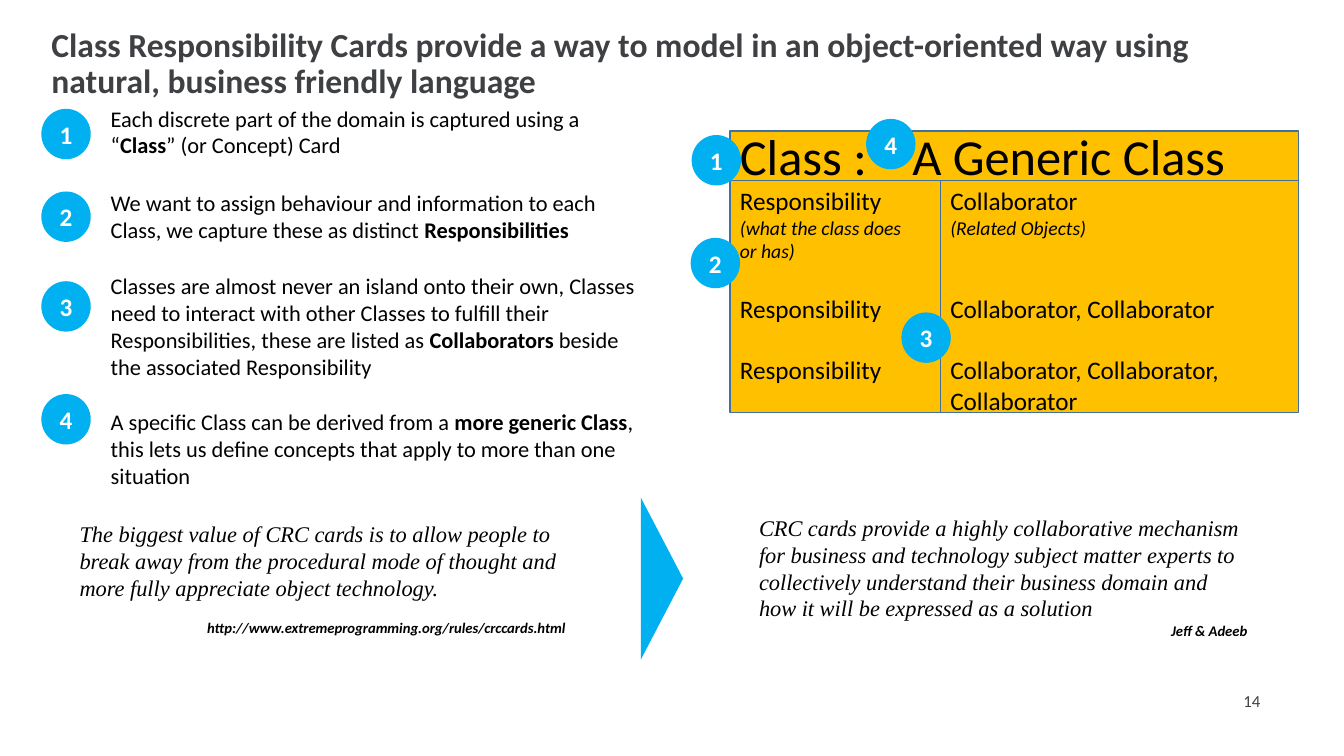
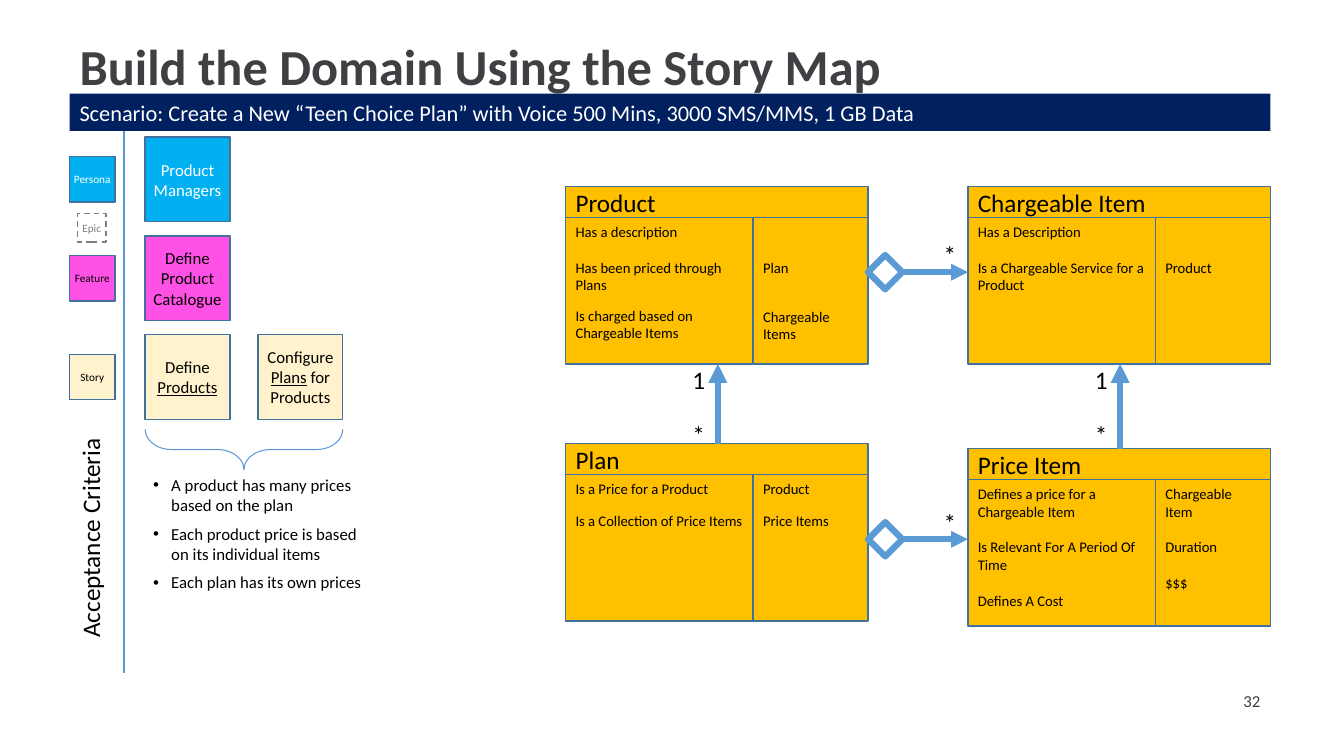
from dataclasses import dataclass
from typing import Optional

from lxml.etree import SubElement
from pptx import Presentation
from pptx.dml.color import RGBColor
from pptx.enum.dml import MSO_LINE
from pptx.enum.shapes import MSO_CONNECTOR, MSO_SHAPE as Preset
from pptx.enum.text import MSO_ANCHOR as Anchor, MSO_AUTO_SIZE, PP_ALIGN as Align
from pptx.oxml.ns import qn
from pptx.util import Emu, Inches, Pt

SLIDE_W, SLIDE_H = Inches(13.33), Inches(7.5)
ROWS = 75
CELL = SLIDE_H / ROWS  # square grid cell; all boxes are in columns and rows


@dataclass(frozen=True)
class Theme:
    body: str = "Calibri"
    quote: str = "Times New Roman"
    heading: str = "3E4043"
    ink: str = "000000"
    paper: str = "FFFFFF"
    card: str = "FFC000"
    edge: str = "42719B"
    link: str = "5B9BD5"
    accent: str = "00B0F0"
    band: str = "002060"
    feature: str = "FF51E5"
    story: str = "FFF2CC"
    muted: str = "7F7F7F"
    huge: float = 36
    title: float = 24
    large: float = 18
    text: float = 16
    note: float = 14
    small: float = 12
    fine: float = 10.5
    tiny: float = 8


T = Theme()


@dataclass(frozen=True)
class Box:
    x: float
    y: float
    w: float
    h: float

    @property
    def right(self):
        return self.x + self.w

    @property
    def bottom(self):
        return self.y + self.h

    def emu(self):
        return [grid(v) for v in (self.x, self.y, self.w, self.h)]


@dataclass(frozen=True)
class Para:
    """Runs are (text, marks) pairs; marks are any of the letters b, i, u."""
    runs: tuple
    gap: float = 0
    size: Optional[float] = None
    font: str = T.body
    align: Optional[Align] = None
    bullet: bool = False
    tab: float = 0


def grid(cells):
    return Emu(round(cells * CELL))


def rgb(value):
    return RGBColor.from_string(value)


def plain(text, marks="", **style):
    return Para(((text, marks),), **style)


def add_bullet(props):
    props.set("marL", str(Inches(0.19)))
    props.set("indent", str(-Inches(0.18)))
    SubElement(props, qn("a:buFont")).set("typeface", "Arial")
    SubElement(props, qn("a:buChar")).set("char", "•")


def add_tab(props, cells):
    stop = SubElement(SubElement(props, qn("a:tabLst")), qn("a:tab"))
    stop.set("pos", str(grid(cells)))
    stop.set("algn", "l")


def write(shape, paras, size, color=T.ink, align=Align.LEFT, anchor=Anchor.TOP,
          pad=(1, 0.5), lead=0):
    """Fill a shape with paragraphs; lead lowers the first line by some rows."""
    frame = shape.text_frame
    frame.word_wrap, frame.auto_size = True, MSO_AUTO_SIZE.NONE
    frame.vertical_anchor = anchor
    frame.margin_left = frame.margin_right = grid(pad[0])
    frame.margin_top, frame.margin_bottom = grid(pad[1] + lead), grid(pad[1])
    for index, para in enumerate(paras):
        line = frame.add_paragraph() if index else frame.paragraphs[0]
        props = line._p.get_or_add_pPr()
        if para.bullet:
            add_bullet(props)
        if para.tab:
            add_tab(props, para.tab)
        line.alignment = para.align or align
        line.space_before = Pt(para.gap)
        for text, marks in para.runs:
            run = line.add_run()
            run.text = text
            font = run.font
            font.name, font.size = para.font, Pt(para.size or size)
            font.color.rgb = rgb(color)
            font.bold, font.italic = "b" in marks, "i" in marks
            font.underline = "u" in marks


def label(slide, box, paras, size, **style):
    area = slide.shapes.add_textbox(*box.emu())
    write(area, paras, size, **style)
    return area


def figure(slide, preset, box, fill=None, edge=None, weight=1.0):
    shape = slide.shapes.add_shape(preset, *box.emu())
    shape.shadow.inherit = False
    if fill:
        shape.fill.solid()
        shape.fill.fore_color.rgb = rgb(fill)
    else:
        shape.fill.background()
    if edge:
        shape.line.color.rgb, shape.line.width = rgb(edge), Pt(weight)
    else:
        shape.line.fill.background()
    return shape


def connect(slide, start, end, weight, arrow=True):
    link = slide.shapes.add_connector(
        MSO_CONNECTOR.STRAIGHT, *(grid(v) for v in (*start, *end)))
    link.line.color.rgb, link.line.width = rgb(T.link), Pt(weight)
    if arrow:
        SubElement(link.line._get_or_add_ln(), qn("a:tailEnd")).set("type", "triangle")
    SubElement(link._element.spPr, qn("a:effectLst"))


def titled_slide(deck, title, box, size, number):
    slide = deck.slides.add_slide(deck.slide_layouts[5])
    heading = slide.shapes.title
    heading.left, heading.top, heading.width, heading.height = box.emu()
    write(heading, [plain(title, "b")], size, T.heading)
    heading.text_frame.paragraphs[0].line_spacing = 0.9
    label(slide, Box(96, 67.5, 30, 4), [plain(number)], T.small,
          color=T.heading, align=Align.RIGHT, anchor=Anchor.MIDDLE)
    return slide


def crc_card(slide, box, head, split, title, left, right, sizes, lead=0):
    """Class card: header of `head` rows above two cells split at a share."""
    title_size, cell_size = sizes
    middle, top = box.w * split, box.y + head
    cells = ((Box(box.x, top, middle, box.h - head), left, 0),
             (Box(box.x + middle, top, box.w - middle, box.h - head), right, lead))
    for cell, paras, drop in cells:
        write(figure(slide, Preset.RECTANGLE, cell, T.card, T.edge),
              paras, cell_size, lead=drop)
    header = figure(slide, Preset.RECTANGLE, Box(box.x, box.y, box.w, head),
                    T.card, T.edge)
    write(header, [title], title_size, anchor=Anchor.MIDDLE)


def badge(slide, x, y, number):
    circle = figure(slide, Preset.OVAL, Box(x, y, 4.9, 5), T.accent)
    write(circle, [plain(str(number), "b")], T.large, T.paper, Align.CENTER,
          Anchor.MIDDLE, pad=(0, 0.5))


def numbered_points(slide, x, points):
    for number, (badge_y, text_y, lines, runs) in enumerate(points, 1):
        badge(slide, x, badge_y, number)
        label(slide, Box(x + 5.9, text_y, 54.7, lines * 2.7 + 1), [Para(runs)], T.text)


def quotation(slide, box, words, source, gap=0):
    label(slide, box, [
        plain(words, "i", font=T.quote),
        plain(source, "bi", size=T.fine, align=Align.RIGHT, gap=gap)], T.text)


def sticky(slide, box, fill, runs, size, color=T.ink, edge=T.edge):
    note = figure(slide, Preset.RECTANGLE, box, fill, edge)
    write(note, [Para(runs)], size, color, Align.CENTER, Anchor.MIDDLE, pad=(0.3, 0.3))
    return note


def story_map(slide, x, y):
    """Legend column, divider and sticky notes, one row per kind of note."""
    side, mark, row, column = 8.4, 4.5, 9.8, 11.2
    notes_x = x + 7.5
    levels = (
        ("Persona", T.accent, T.paper, [(("Product Managers", ""),)]),
        ("Feature", T.feature, T.ink, [(("Define Product Catalogue", ""),)]),
        ("Story", T.story, T.ink, [
            (("Define ", ""), ("Products", "u")),
            (("Configure ", ""), ("Plans", "u"), (" for Products", ""))]))
    for level, (kind, fill, color, notes) in enumerate(levels):
        top = y + level * row
        sticky(slide, Box(x, top + (side - mark) / 2, mark, mark), fill,
               ((kind, ""),), T.tiny, color)
        for place, runs in enumerate(notes):
            sticky(slide, Box(notes_x + place * column, top, side, side), fill,
                   runs, T.small, color)
    epic = sticky(slide, Box(x + 0.8, y + 7.6, 2.8, 2.8), None, (("Epic", ""),),
                  T.tiny, T.muted, T.muted)
    epic.line.dash_style = MSO_LINE.DASH
    connect(slide, (x + 5.4, y - 0.6), (x + 5.4, y + 53.2), 0.75, arrow=False)


def acceptance_criteria(slide, x, y, criteria):
    caption = label(slide, Box(x - 9.3, y + 8, 22.7, 4), [plain("Acceptance Criteria")],
                    T.large)
    caption.rotation = 270
    brace = figure(slide, Preset.LEFT_BRACE, Box(x + 15.3, y - 8.1, 4, 19.6),
                   edge=T.link, weight=0.75)
    brace.rotation = 270
    brace.adjustments[0] = 0.66
    label(slide, Box(x + 7.2, y + 3.7, 24.2, 12.8),
          [plain(text, gap=6 if i else 0, bullet=True)
           for i, text in enumerate(criteria)], T.small)


def aggregation(slide, x, y, target_x):
    size = 3.4
    figure(slide, Preset.DIAMOND, Box(x, y - size / 2, size, size),
           edge=T.link, weight=4.5)
    connect(slide, (x + size, y), (target_x, y), 4)
    label(slide, Box(target_x - 3.4, y - 3.7, 3.3, 4), [plain("*")], T.large)


def many_to_one(slide, lower, upper):
    x = lower.x + 15.1
    connect(slide, (x, lower.y), (x, upper.bottom), 4.5)
    label(slide, Box(x - 3.5, upper.bottom - 0.4, 3.3, 9.4),
          [plain("1"), plain("*", gap=17)], T.large)


def cards_slide(deck):
    slide = titled_slide(
        deck, "Class Responsibility Cards provide a way to model in an object-oriented "
        "way using natural, business friendly language",
        Box(4.1, 2.3, 121.9, 6.5), T.title, "14")
    crc_card(
        slide, Box(72.4, 13, 56.4, 27.9), 4.9, 0.37,
        plain("Class :\tA Generic Class", tab=17.1),
        [plain("Responsibility"), plain("(what the class does", "i", size=T.note),
         plain("or has)", "i", size=T.note), plain("Responsibility", gap=22),
         plain("Responsibility", gap=22)],
        [plain("Collaborator"), plain("(Related Objects)", "i", size=T.note),
         plain("Collaborator, Collaborator", gap=39),
         plain("Collaborator, Collaborator, Collaborator", gap=22)],
        (T.huge, T.large))
    numbered_points(slide, 4.1, (
        (10.8, 9.9, 2, (("Each discrete part of the domain is captured using a “", ""),
                        ("Class", "b"), ("” (or Concept) Card", ""))),
        (19, 18.3, 2, (("We want to assign behaviour and information to each Class, "
                        "we capture these as distinct ", ""), ("Responsibilities", "b"))),
        (27.9, 26.5, 4, (("Classes are almost never an island onto their own, Classes "
                          "need to interact with other Classes to fulfill their "
                          "Responsibilities, these are listed as ", ""),
                         ("Collaborators", "b"),
                         (" beside the associated Responsibility", ""))),
        (39.1, 40, 3, (("A specific Class can be derived from a ", ""),
                       ("more generic Class", "b"),
                       (", this lets us define concepts that apply to more than one "
                        "situation", "")))))
    callouts = ((68.6, 13.4), (68.5, 23.6), (89.4, 31), (85.9, 11.8))
    for number, (x, y) in enumerate(callouts, 1):
        badge(slide, x, y, number)
    quotation(slide, Box(6.9, 51.1, 50.2, 12.6),
              "The biggest value of CRC cards is to allow people to break away from the "
              "procedural mode of thought and more fully appreciate object technology.",
              "http://www.extremeprogramming.org/rules/crccards.html", gap=13)
    pointer = figure(slide, Preset.ISOSCELES_TRIANGLE, Box(57.6, 55.3, 16.1, 4.2), T.accent)
    pointer.rotation = 90
    quotation(slide, Box(74.3, 50.5, 50.4, 13.8),
              "CRC cards provide a highly collaborative mechanism for business and "
              "technology subject matter experts to collectively understand their "
              "business domain and how it will be expressed as a solution",
              "Jeff & Adeeb")


def domain_slide(deck):
    slide = titled_slide(deck, "Build the Domain Using the Story Map",
                         Box(6.9, 3.7, 119.1, 6.5), T.huge, "32")
    scenario = figure(slide, Preset.RECTANGLE, Box(6.9, 9.3, 119.1, 3.7), T.band)
    write(scenario, [plain("Scenario: Create a New “Teen Choice Plan” with Voice 500 Mins, "
                           "3000 SMS/MMS, 1 GB Data")], T.text, T.paper)
    product, item, plan, price = (
        Box(x, y, 30, 17.6)
        for x, y in ((56.1, 18.5), (96, 18.5), (56.1, 44), (96, 44.5)))
    line = 13  # one empty line of card text, in points
    cards = (
        (product, "Product",
         [plain("Has a description"), plain("Has been priced through Plans", gap=line),
          plain("Is charged based on Chargeable Items", gap=9)],
         [plain("Plan"), plain("Chargeable Items", gap=22)], 3.6),
        (item, "Chargeable Item",
         [plain("Has a Description"),
          plain("Is a Chargeable Service for a Product", gap=line)],
         [plain("Product")], 3.6),
        (plan, "Plan",
         [plain("Is a Price for a Product"),
          plain("Is a Collection of Price Items", gap=10)],
         [plain("Product"), plain("Price Items", gap=10)], 0),
        (price, "Price Item",
         [plain("Defines a price for a Chargeable Item"),
          plain("Is Relevant For A Period Of Time", gap=line),
          plain("Defines A Cost", gap=line)],
         [plain("Chargeable Item"), plain("Duration", gap=line), plain("$$$", gap=line)], 0))
    for box, name, duties, partners, lead in cards:
        crc_card(slide, box, 3.1, 0.62, plain(name), duties, partners,
                 (T.large, T.fine), lead)
    story_map(slide, 6.9, 13.6)
    acceptance_criteria(slide, 6.9, 42.9, (
        "A product has many prices based on the plan",
        "Each product price is based on its individual items",
        "Each plan has its own prices"))
    aggregation(slide, product.right, 27, item.x)
    aggregation(slide, plan.right, 53.5, price.x)
    many_to_one(slide, plan, product)
    many_to_one(slide, price, item)


def main():
    deck = Presentation()
    deck.slide_width, deck.slide_height = SLIDE_W, SLIDE_H
    cards_slide(deck)
    domain_slide(deck)
    deck.save("out.pptx")


if __name__ == "__main__":
    main()
